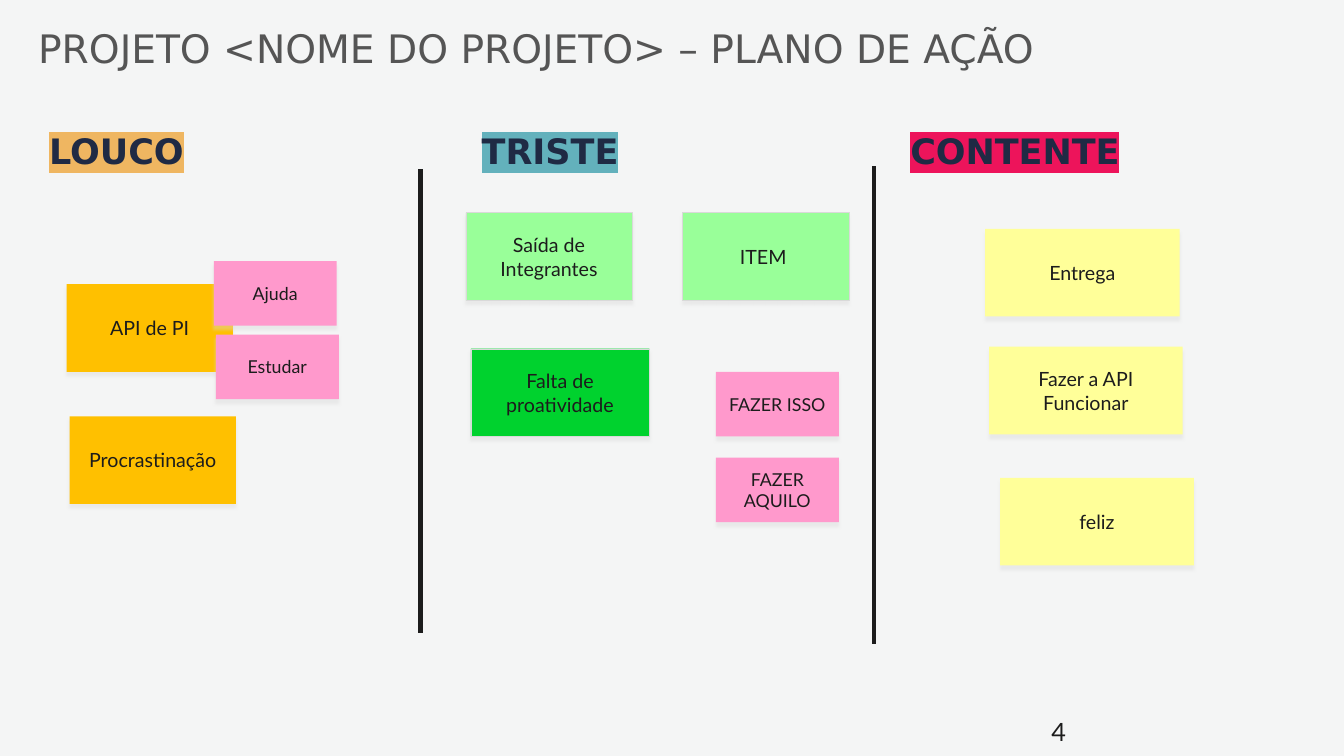
"""Build a retrospective board with three columns of sticky notes."""
from dataclasses import dataclass
from typing import NamedTuple

from lxml.etree import SubElement
from pptx import Presentation
from pptx.dml.color import RGBColor
from pptx.enum.shapes import MSO_CONNECTOR, MSO_SHAPE
from pptx.enum.text import MSO_ANCHOR, PP_ALIGN
from pptx.oxml.ns import qn
from pptx.slide import Slide
from pptx.text.text import _Paragraph
from pptx.util import Inches, Pt

RECT = MSO_SHAPE.RECTANGLE
STRAIGHT = MSO_CONNECTOR.STRAIGHT
MIDDLE = MSO_ANCHOR.MIDDLE
CENTER = PP_ALIGN.CENTER


@dataclass(frozen=True)
class Theme:
    """Colours, fonts and type sizes of the board."""
    back: str = "F4F5F5"
    ink: str = "1C1C1C"
    gray: str = "555555"
    navy: str = "1F2A44"
    edge: str = "D9D9D9"
    sand: str = "EFB661"
    teal: str = "63B1BC"
    red: str = "ED145B"
    amber: str = "FFC000"
    mint: str = "99FF99"
    green: str = "00D22E"
    lemon: str = "FFFF99"
    pink: str = "FF99CC"
    wide: str = "DejaVu Sans"
    body: str = "Lato"
    title: float = 28
    head: float = 25
    page: float = 18
    note: float = 14
    task: float = 12.7


THEME = Theme()


class Label(NamedTuple):
    """Text box with its place and type."""
    text: str
    left: float
    top: float
    width: float
    height: float
    size: float
    face: str
    color: str
    mark: str = ""


class Note(NamedTuple):
    """Sticky note with its place and colour."""
    text: str
    left: float
    top: float
    width: float
    fill: str
    edged: bool = False


class Rule(NamedTuple):
    """Upright line between two columns."""
    left: float
    top: float
    bottom: float


def head(text: str, left: float, mark: str) -> Label:
    """Return a column heading on a marker colour."""
    return Label(text, left, 1.28, 4, 0.6, THEME.head, THEME.wide, THEME.navy, mark)


LABELS = [
    Label("PROJETO <NOME DO PROJETO> – PLANO DE AÇÃO", 0.28, 0.19, 10.75, 1.24,
          THEME.title, THEME.wide, THEME.gray),
    head("LOUCO", 0.39, THEME.sand),
    head("TRISTE", 4.68, THEME.teal),
    head("CONTENTE", 8.93, THEME.red),
    Label("4", 10.33, 7.06, 3, 0.4, THEME.page, THEME.body, THEME.ink),
]

RULES = [Rule(4.17, 1.68, 6.28), Rule(8.67, 1.65, 6.39)]

NOTES = [
    Note("API de PI", 0.66, 2.82, 1.65, THEME.amber),
    Note("Procrastinação", 0.69, 4.13, 1.65, THEME.amber),
    Note("Saída de Integrantes", 4.62, 2.11, 1.65, THEME.mint, True),
    Note("ITEM ", 6.77, 2.11, 1.65, THEME.mint, True),
    Note("Falta de proatividade", 4.67, 3.46, 1.77, THEME.green, True),
    Note("Entrega", 9.77, 2.27, 1.93, THEME.lemon),
    Note("Fazer a API Funcionar", 9.81, 3.44, 1.92, THEME.lemon),
    Note("feliz", 9.92, 4.74, 1.92, THEME.lemon),
    Note("Ajuda", 2.12, 2.59, 1.22, THEME.pink),
    Note("Estudar", 2.14, 3.32, 1.22, THEME.pink),
    Note("FAZER ISSO", 7.1, 3.69, 1.22, THEME.pink),
    Note("FAZER AQUILO", 7.1, 4.54, 1.22, THEME.pink),
]


def style(para: _Paragraph, size: float, face: str, color: str) -> None:
    """Set the font of a paragraph."""
    para.font.size = Pt(size)
    para.font.name = face
    para.font.color.rgb = RGBColor.from_string(color)


def add_label(slide: Slide, label: Label) -> None:
    """Draw a text box, marked and bold if it is a heading."""
    box = slide.shapes.add_textbox(Inches(label.left), Inches(label.top),
                                   Inches(label.width), Inches(label.height))
    box.text_frame.word_wrap = True
    para = box.text_frame.paragraphs[0]
    run = para.add_run()
    run.text = label.text
    style(para, label.size, label.face, label.color)
    if label.mark:
        para.font.bold = True
        para.line_spacing = 0.9
        para.space_before = Pt(10)
        light = SubElement(run._r.get_or_add_rPr(), qn("a:highlight"))
        SubElement(light, qn("a:srgbClr"), val=label.mark)


def add_rule(slide: Slide, rule: Rule) -> None:
    """Draw an upright line."""
    line = slide.shapes.add_connector(STRAIGHT, Inches(rule.left), Inches(rule.top),
                                      Inches(rule.left), Inches(rule.bottom))
    line.line.width = Pt(3)
    line.line.color.rgb = RGBColor.from_string(THEME.ink)
    SubElement(line._element.spPr, qn("a:effectLst"))


def add_note(slide: Slide, note: Note) -> None:
    """Draw a sticky note with a soft shadow."""
    small = note.fill == THEME.pink
    card = slide.shapes.add_shape(RECT, Inches(note.left), Inches(note.top),
                                  Inches(note.width), Inches(0.64 if small else 0.87))
    card.fill.solid()
    card.fill.fore_color.rgb = RGBColor.from_string(note.fill)
    if note.edged:
        card.line.width = Pt(0.25)
        card.line.color.rgb = RGBColor.from_string(THEME.edge)
    else:
        card.line.fill.background()
    card.shadow.inherit = False
    glow = SubElement(card._element.spPr.find(qn("a:effectLst")), qn("a:outerShdw"),
                      blurRad=str(Pt(2)), dist=str(Pt(3)), dir="5400000",
                      algn="t", rotWithShape="0")
    tint = SubElement(glow, qn("a:srgbClr"), val=THEME.edge)
    SubElement(tint, qn("a:alpha"), val="40000")
    frame = card.text_frame
    frame.word_wrap = True
    frame.vertical_anchor = MIDDLE
    para = frame.paragraphs[0]
    para.text = note.text
    para.alignment = CENTER
    style(para, THEME.task if small else THEME.note, THEME.body, THEME.ink)


def main() -> None:
    """Draw the slide and save it."""
    deck = Presentation()
    deck.slide_width = Inches(13.33)
    deck.slide_height = Inches(7.5)
    slide = deck.slides.add_slide(deck.slide_layouts[6])
    slide.background.fill.solid()
    slide.background.fill.fore_color.rgb = RGBColor.from_string(THEME.back)
    for label in LABELS:
        add_label(slide, label)
    for rule in RULES:
        add_rule(slide, rule)
    for note in NOTES:
        add_note(slide, note)
    deck.save("out.pptx")


if __name__ == "__main__":
    main()
